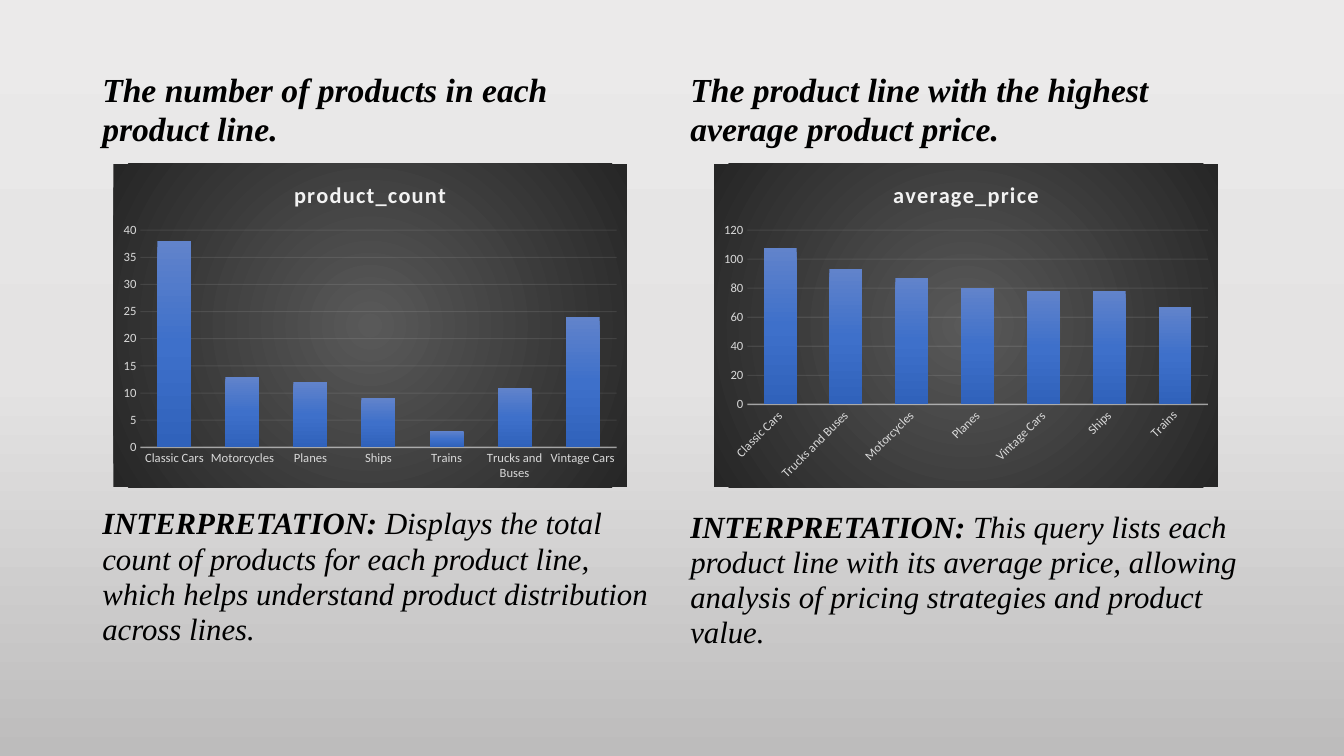
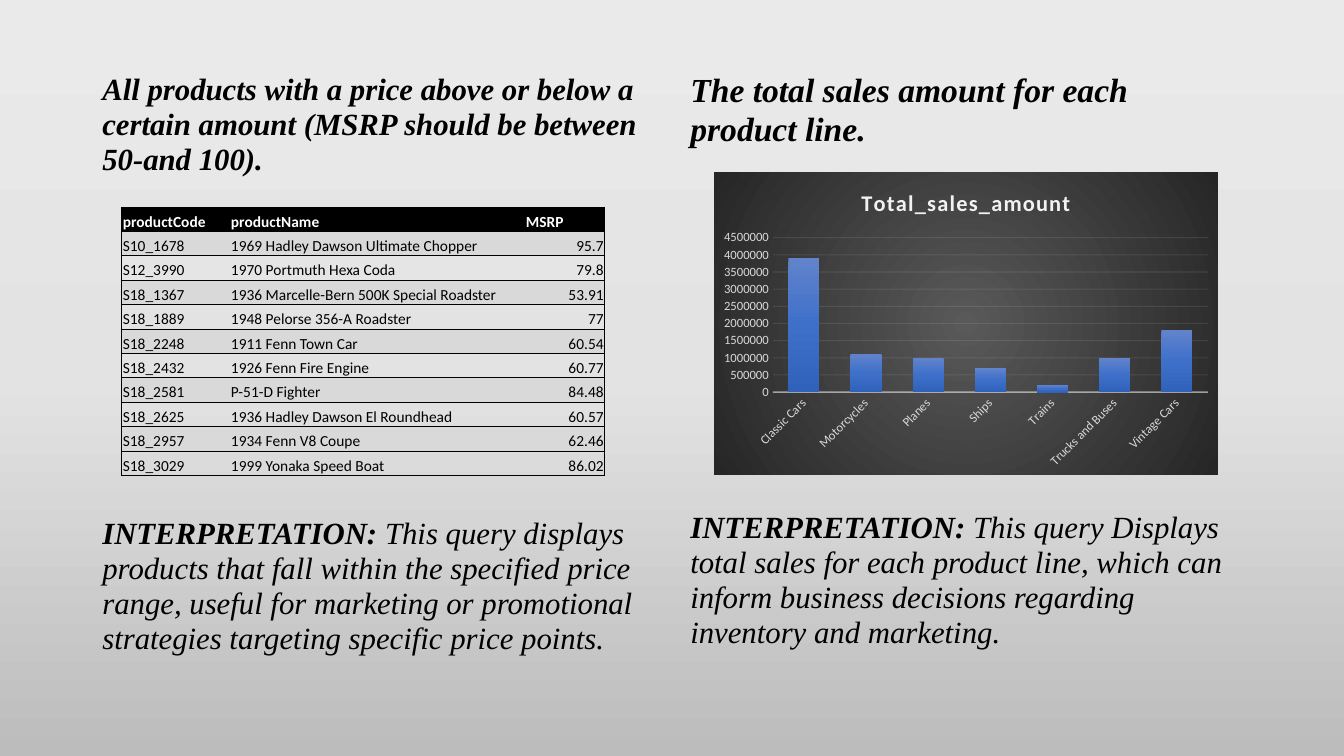
from lxml.etree import SubElement
from pptx import Presentation
from pptx.chart.data import CategoryChartData
from pptx.dml.color import RGBColor
from pptx.enum.chart import XL_CHART_TYPE, XL_TICK_MARK
from pptx.enum.text import MSO_ANCHOR, PP_ALIGN
from pptx.oxml import parse_xml
from pptx.oxml.ns import nsdecls, qn
from pptx.util import Pt

PX = 9525
SERIF, SANS = "Times New Roman", "Calibri"
BLACK, WHITE, PALE, BAND = "000000", "FFFFFF", "F2F2F2", "D9D9D9"
PAGE_STOPS = [(0, "EBEAEA"), (50, "E4E3E3"), (100, "BDBCBC")]
BAR_STOPS = [(0, "6183CB"), (50, "3E70CA"), (100, "3062BB")]
PANEL_STOPS = [(0, "595959"), (100, "262626")]
NO_TABLE_STYLE = "{2D5ABB26-0587-4C30-8999-92F81FD0307C}"

COLUMN_LEFTS, COLUMN_WIDTH = (88, 648), 544
HEADING_TOP, HEADING_HEIGHT, NOTE_HEIGHT = 64, 90, 150

PRODUCT_COUNT = {
    "name": "product_count", "at": (108, 156, 489, 308), "top": 40, "step": 5, "tilted": False,
    "values": {"Classic Cars": 38, "Motorcycles": 13, "Planes": 12, "Ships": 9,
               "Trains": 3, "Trucks and Buses": 11, "Vintage Cars": 24},
}
AVERAGE_PRICE = {
    "name": "average_price", "at": (680, 156, 480, 308), "top": 120, "step": 20, "tilted": True,
    "values": {"Classic Cars": 108, "Trucks and Buses": 93, "Motorcycles": 87, "Planes": 80,
               "Vintage Cars": 78, "Ships": 78, "Trains": 67},
}
TOTAL_SALES = {
    "name": "Total_sales_amount", "at": (680, 164, 480, 288), "top": 4500000, "step": 500000,
    "tilted": True,
    "values": {"Classic Cars": 3900000, "Motorcycles": 1100000, "Planes": 1000000,
               "Ships": 700000, "Trains": 200000, "Trucks and Buses": 1000000,
               "Vintage Cars": 1800000},
}
PRICE_TABLE = {
    "at": (116, 197, 460, 256), "widths": (103, 281, 76),
    "rows": [
        ("productCode", "productName", "MSRP"),
        ("S10_1678", "1969 Hadley Dawson Ultimate Chopper", "95.7"),
        ("S12_3990", "1970 Portmuth Hexa Coda", "79.8"),
        ("S18_1367", "1936 Marcelle-Bern 500K Special Roadster", "53.91"),
        ("S18_1889", "1948 Pelorse 356-A Roadster", "77"),
        ("S18_2248", "1911 Fenn Town Car", "60.54"),
        ("S18_2432", "1926 Fenn Fire Engine", "60.77"),
        ("S18_2581", "P-51-D Fighter", "84.48"),
        ("S18_2625", "1936 Hadley Dawson El Roundhead", "60.57"),
        ("S18_2957", "1934 Fenn V8 Coupe", "62.46"),
        ("S18_3029", "1999 Yonaka Speed Boat", "86.02"),
    ],
}

# Each column: heading, heading size, chart or table, interpretation top, interpretation
PAGES = [
    [
        ("The number of products in each product line.", 24, PRODUCT_COUNT, 478,
         "Displays the total count of products for each product line, which helps understand "
         "product distribution across lines."),
        ("The product line with the highest average product price.", 24, AVERAGE_PRICE, 481,
         "This query lists each product line with its average price, allowing analysis of "
         "pricing strategies and product value."),
    ],
    [
        ("All products with a price above or below a certain amount (MSRP should be between "
         "50-and 100).", 22, PRICE_TABLE, 487,
         "This query displays products that fall within the specified price range, useful for "
         "marketing or promotional strategies targeting specific price points."),
        ("The total sales amount for each product line.", 24, TOTAL_SALES, 481,
         "This query Displays total sales for each product line, which can inform business "
         "decisions regarding inventory and marketing."),
    ],
]


def px(*lengths):
    return [length * PX for length in lengths]


def rgb(color):
    return RGBColor.from_string(color)


def style_font(font, name, size, color, bold=False, italic=False):
    font.name, font.size, font.bold, font.italic = name, Pt(size), bold, italic
    font.color.rgb = rgb(color)


def gradient(stops, radial=False):
    """Return a gradient fill element, from the centre outwards or from top to bottom."""
    marks = "".join(f'<a:gs pos="{place * 1000}"><a:srgbClr val="{color}"/></a:gs>'
                    for place, color in stops)
    course = ('<a:path path="circle"><a:fillToRect l="50000" t="50000" r="50000" b="50000"/>'
              '</a:path>' if radial else '<a:lin ang="5400000" scaled="0"/>')
    return parse_xml(f'<a:gradFill {nsdecls("a")} rotWithShape="1"><a:gsLst>{marks}</a:gsLst>'
                     f'{course}</a:gradFill>')


def style_line(line, color, width, opacity):
    line.color.rgb = rgb(color)
    line.width = Pt(width)
    for tint in line._get_or_add_ln().iter(qn("a:srgbClr")):
        SubElement(tint, qn("a:alpha"), val=str(opacity * 1000))


def set_background(deck):
    master = deck.slide_master
    master.background.fill.solid()
    plain = master.element.xpath("./p:cSld/p:bg/p:bgPr/a:solidFill")[0]
    plain.getparent().replace(plain, gradient(PAGE_STOPS))


def add_text(page, at, size, spans):
    """Add one italic paragraph made of (text, bold) spans."""
    frame = page.shapes.add_textbox(*px(*at)).text_frame
    frame.word_wrap = True
    para = frame.paragraphs[0]
    para.line_spacing = 0.95
    for text, bold in spans:
        span = para.add_run()
        span.text = text
        style_font(span.font, SERIF, size, BLACK, bold, italic=True)


def add_column_chart(page, content):
    data = CategoryChartData()
    data.categories = list(content["values"])
    data.add_series(content["name"], list(content["values"].values()))
    chart = page.shapes.add_chart(XL_CHART_TYPE.COLUMN_CLUSTERED, *px(*content["at"]), data).chart
    style_font(chart.font, SANS, 10, BLACK)
    chart.has_legend = False

    panel = parse_xml(f'<c:spPr {nsdecls("c", "a")}/>')
    panel.append(gradient(PANEL_STOPS, radial=True))
    panel.append(parse_xml(f'<a:ln {nsdecls("a")}><a:noFill/></a:ln>'))
    chart._chartSpace.find(qn("c:chart")).addnext(panel)

    chart.has_title = True
    chart.chart_title.include_in_layout = False
    para = chart.chart_title.text_frame.paragraphs[0]
    para.text = content["name"]
    style_font(para.runs[0].font, SANS, 16, PALE, bold=True)
    para.runs[0]._r.get_or_add_rPr().set("spc", "100")

    plot = chart.plots[0]
    plot.gap_width, plot.overlap, plot.vary_by_categories = 100, -24, False
    series = plot.series[0]
    series.invert_if_negative = False
    series._element.get_or_add_spPr().append(gradient(BAR_STOPS))

    categories, scale = chart.category_axis, chart.value_axis
    for axis in (categories, scale):
        axis.major_tick_mark = axis.minor_tick_mark = XL_TICK_MARK.NONE
        style_font(axis.tick_labels.font, SANS, 9, BAND)
    style_line(categories.format.line, PALE, 1, 54)
    if content["tilted"]:
        categories._element.find(qn("c:txPr")).find(qn("a:bodyPr")).set("rot", "-2700000")
    scale.minimum_scale, scale.maximum_scale = 0, content["top"]
    scale.major_unit = content["step"]
    scale.format.line.fill.background()
    style_line(scale.major_gridlines.format.line, PALE, 0.75, 10)


def add_borders(cell, sides):
    for side in sides:
        cell._tc.get_or_add_tcPr().append(parse_xml(
            f'<a:ln{side} {nsdecls("a")} w="6350"><a:solidFill><a:srgbClr val="{BLACK}"/>'
            f'</a:solidFill></a:ln{side}>'))


def add_price_table(page, content):
    rows, widths = content["rows"], content["widths"]
    frame = page.shapes.add_table(len(rows), len(widths), *px(*content["at"]))
    table = frame.table
    table.first_row = table.horz_banding = False
    table._tbl.tblPr.find(qn("a:tableStyleId")).text = NO_TABLE_STYLE
    for column, width in zip(table.columns, px(*widths)):
        column.width = width
    last = len(widths) - 1
    for row_index, texts in enumerate(rows):
        table.rows[row_index].height = px(content["at"][3])[0] // len(rows)
        header = row_index == 0
        for column_index, text in enumerate(texts):
            cell = table.cell(row_index, column_index)
            cell.margin_left = cell.margin_right = cell.margin_top = PX
            cell.margin_bottom = 0
            cell.vertical_anchor = MSO_ANCHOR.BOTTOM
            add_borders(cell, {0: "LTB", last: "RTB"}.get(column_index, "TB"))
            if header or row_index % 2:
                cell.fill.solid()
                cell.fill.fore_color.rgb = rgb(BLACK if header else BAND)
            else:
                cell.fill.background()
            para = cell.text_frame.paragraphs[0]
            para.text = text
            if column_index == last and not header:
                para.alignment = PP_ALIGN.RIGHT
            style_font(para.runs[0].font, SANS, 11, WHITE if header else BLACK, bold=header)


def main():
    deck = Presentation()
    deck.slide_width, deck.slide_height = px(1280, 720)
    set_background(deck)
    for columns in PAGES:
        page = deck.slides.add_slide(deck.slide_layouts[6])
        for left, (heading, size, content, note_top, note) in zip(COLUMN_LEFTS, columns):
            add_text(page, (left, HEADING_TOP, COLUMN_WIDTH, HEADING_HEIGHT), size,
                     [(heading, True)])
            add_content = add_price_table if "rows" in content else add_column_chart
            add_content(page, content)
            add_text(page, (left, note_top, COLUMN_WIDTH, NOTE_HEIGHT), 22,
                     [("INTERPRETATION: ", True), (note, False)])
    deck.save("out.pptx")


if __name__ == "__main__":
    main()
